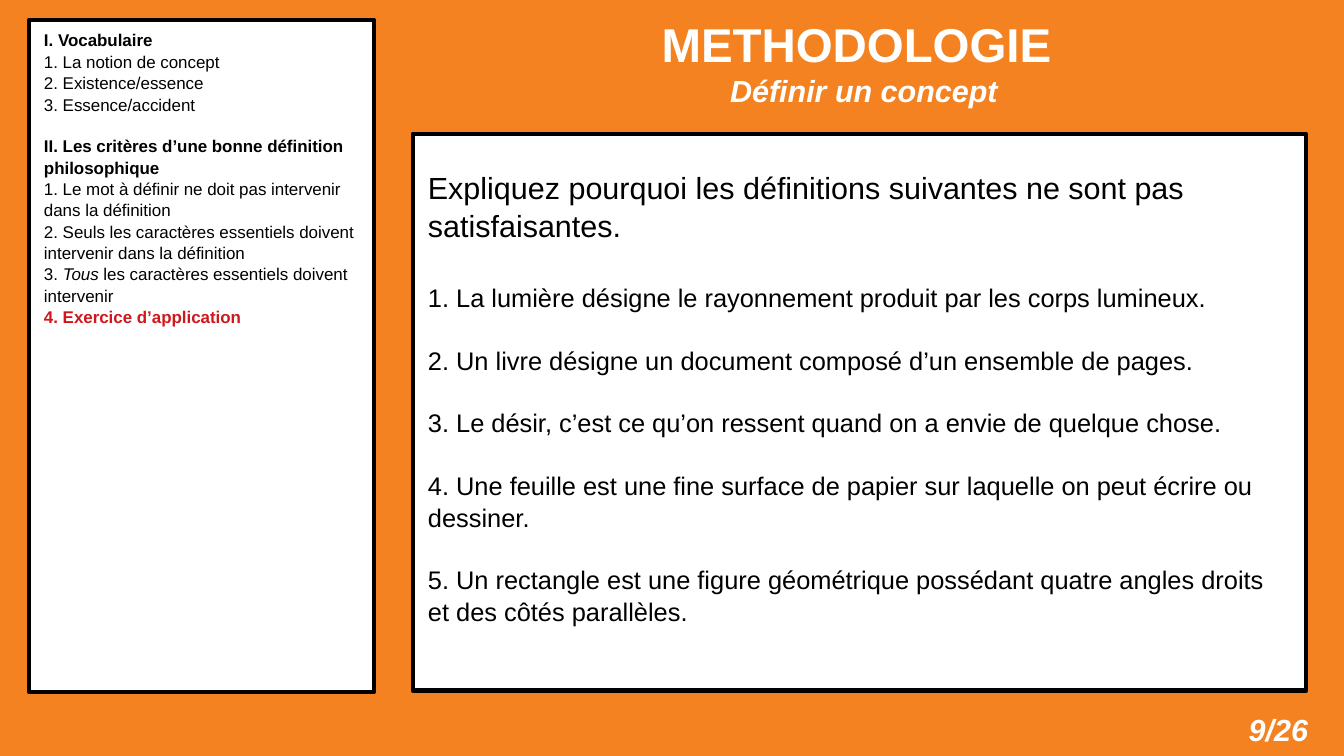
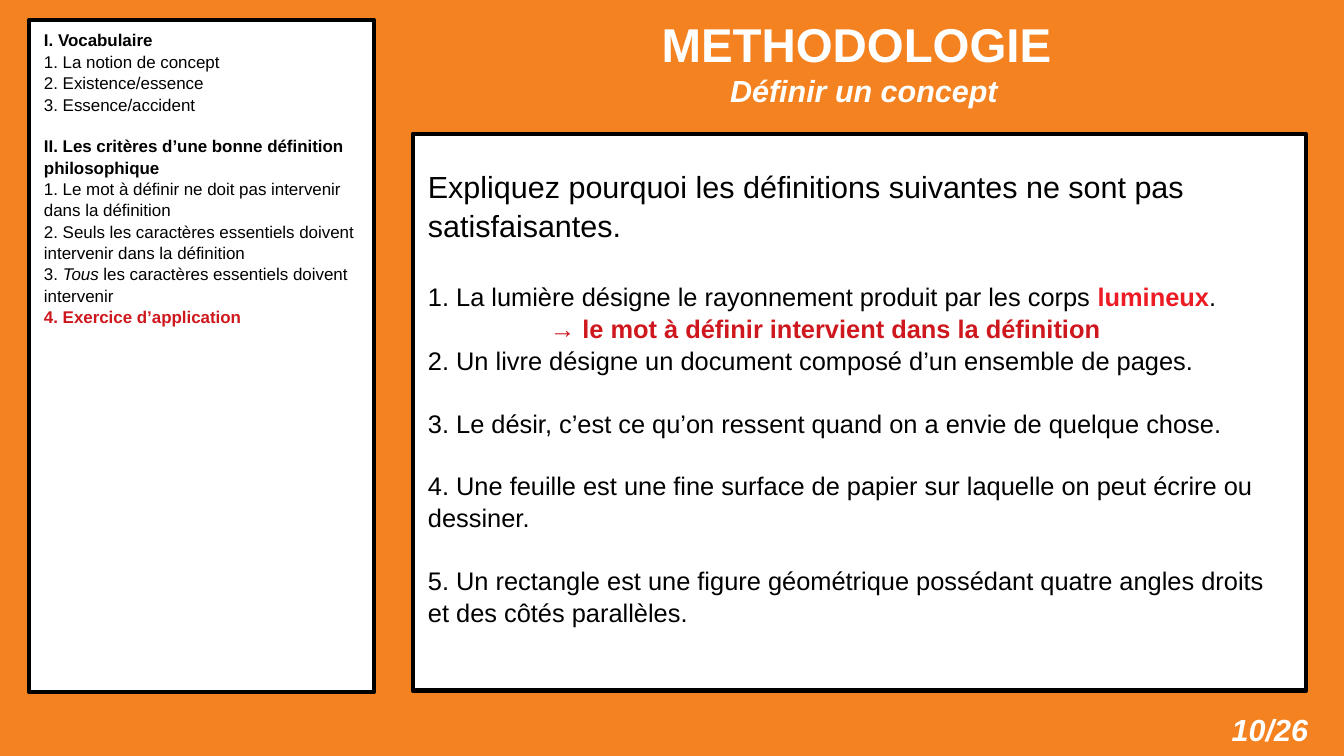
from pptx import Presentation
from pptx import util as u
from pptx.dml.color import RGBColor
from pptx.enum import shapes, text
from pptx.oxml.ns import qn
from lxml import etree

# Content: a paragraph is (runs, size, gap before in pt, left margin in px)
TITLE, SUBTITLE, PAGES = "METHODOLOGIE", "Définir un concept", 26

PLAN = [
    ("I. Vocabulaire", [
        [("1. La notion de concept", "plain")],
        [("2. Existence/essence", "plain")],
        [("3. Essence/accident", "plain")],
    ]),
    ("II. Les critères d’une bonne définition philosophique", [
        [("1. Le mot à définir ne doit pas intervenir dans la définition", "plain")],
        [("2. Seuls les caractères essentiels doivent intervenir dans la définition", "plain")],
        [("3. ", "plain"), ("Tous", "italic"),
         (" les caractères essentiels doivent intervenir", "plain")],
        [("4. Exercice d’application", "current")],
    ]),
]

QUESTION = "Expliquez pourquoi les définitions suivantes ne sont pas satisfaisantes."
DEFINITIONS = [
    "1. La lumière désigne le rayonnement produit par les corps lumineux.",
    "2. Un livre désigne un document composé d’un ensemble de pages.",
    "3. Le désir, c’est ce qu’on ressent quand on a envie de quelque chose.",
    "4. Une feuille est une fine surface de papier sur laquelle on peut écrire ou dessiner.",
    "5. Un rectangle est une figure géométrique possédant quatre angles droits et des côtés parallèles.",
]

# Page number -> {definition index: (faulty word, answer)}
SLIDES = [
    (9, {}),
    (10, {0: ("lumineux", "→ le mot à définir intervient dans la définition")}),
]

# Shared style: (colour, bold, italic)
ORANGE, WHITE, BLACK = "F58220", "FFFFFF", "000000"
STYLES = {
    "plain": (BLACK, False, False),
    "italic": (BLACK, False, True),
    "heading": (BLACK, True, False),
    "current": ("CE181E", True, False),
    "fault": ("ED1C24", True, False),
    "title": (WHITE, True, False),
    "subtitle": (WHITE, True, True),
}
FONT = "Arial"
LEADING = 1.05
LINE = 1.2  # height of one line relative to its text size
TAB = 122


def px(n):
    return u.Emu(n * 7495)


def rgb(value):
    return RGBColor.from_string(value)


def write(s, paragraphs, insets, anchor, align, leading=None):
    tf = s.text_frame
    tf.word_wrap = True
    tf.vertical_anchor = anchor
    tf.margin_left, tf.margin_top, tf.margin_right, tf.margin_bottom = map(px, insets)
    for i, (runs, size, gap, margin) in enumerate(paragraphs):
        p = tf.add_paragraph() if i else tf.paragraphs[0]
        p.alignment = align
        p.space_before = u.Pt(gap)
        if leading:
            p.line_spacing = leading
        if margin:
            p._p.get_or_add_pPr().set("marL", str(px(margin)))
        for words, style in runs:
            r = p.add_run()
            r.text = words
            color, r.font.bold, r.font.italic = STYLES[style]
            r.font.color.rgb = rgb(color)
            r.font.name, r.font.size = FONT, u.Pt(size)


def add_label(slide, box, paragraphs, insets, anchor, align):
    s = slide.shapes.add_textbox(*map(px, box))
    write(s, paragraphs, insets, anchor, align)


def add_panel(slide, box, paragraphs, insets, anchor):
    s = slide.shapes.add_shape(shapes.MSO_SHAPE.RECTANGLE, *map(px, box))
    s.shadow.inherit = False
    s.fill.solid()
    s.fill.fore_color.rgb = rgb(WHITE)
    s.line.color.rgb = rgb(BLACK)
    s.line.width = u.Pt(2.83)
    etree.SubElement(s._element.spPr.get_or_add_ln(), qn("a:round"))
    write(s, paragraphs, insets, anchor, text.PP_ALIGN.LEFT, LEADING)


def plan_paragraphs(size=10):
    result = []
    for heading, items in PLAN:
        result.append(([(heading, "heading")], size, size * LINE if result else 0, 0))
        result += [(runs, size, 0, 0) for runs in items]
    return result


def exercise_paragraphs(answers, lead=18, size=15):
    result = [([(QUESTION, "plain")], lead, 0, 0)]
    gap = lead * LINE
    for i, definition in enumerate(DEFINITIONS):
        runs = [(definition, "plain")]
        if i in answers:
            word, answer = answers[i]
            before, _, after = definition.rpartition(word)
            runs = [(before, "plain"), (word, "fault"), (after, "plain")]
        result.append((runs, size, gap, 0))
        gap = size * LINE
        if i in answers:
            # The answer takes the place of the gap
            result.append(([(answer, "current")], size, 0, TAB))
            gap = 0
    return result


def build_slide(prs, page, answers):
    slide = prs.slides.add_slide(prs.slide_layouts[6])
    slide.background.fill.solid()
    slide.background.fill.fore_color.rgb = rgb(ORANGE)
    anchors, aligns = text.MSO_ANCHOR, text.PP_ALIGN

    # Title and page number
    add_label(slide, (414, 0, 893, 124),
              [([(TITLE, "title")], 28, 0, 0), ([(SUBTITLE, "subtitle")], 18, 0, 15)],
              (12, 6, 20, 6), anchors.MIDDLE, aligns.CENTER)
    add_label(slide, (1191, 705, 129, 51), [([(f"{page}/{PAGES}", "subtitle")], 18, 0, 0)],
              (12, 6, 12, 6), anchors.TOP, aligns.RIGHT)

    # Course plan and exercise
    add_panel(slide, (29, 20, 345, 672), plan_paragraphs(), (15, 9, 15, 9), anchors.TOP)
    add_panel(slide, (413, 134, 893, 557), exercise_paragraphs(answers),
              (15, 9, 15, 40), anchors.MIDDLE)


def main():
    prs = Presentation()
    prs.slide_width, prs.slide_height = px(1344), px(756)
    for page, answers in SLIDES:
        build_slide(prs, page, answers)
    prs.save("out.pptx")


if __name__ == "__main__":
    main()
